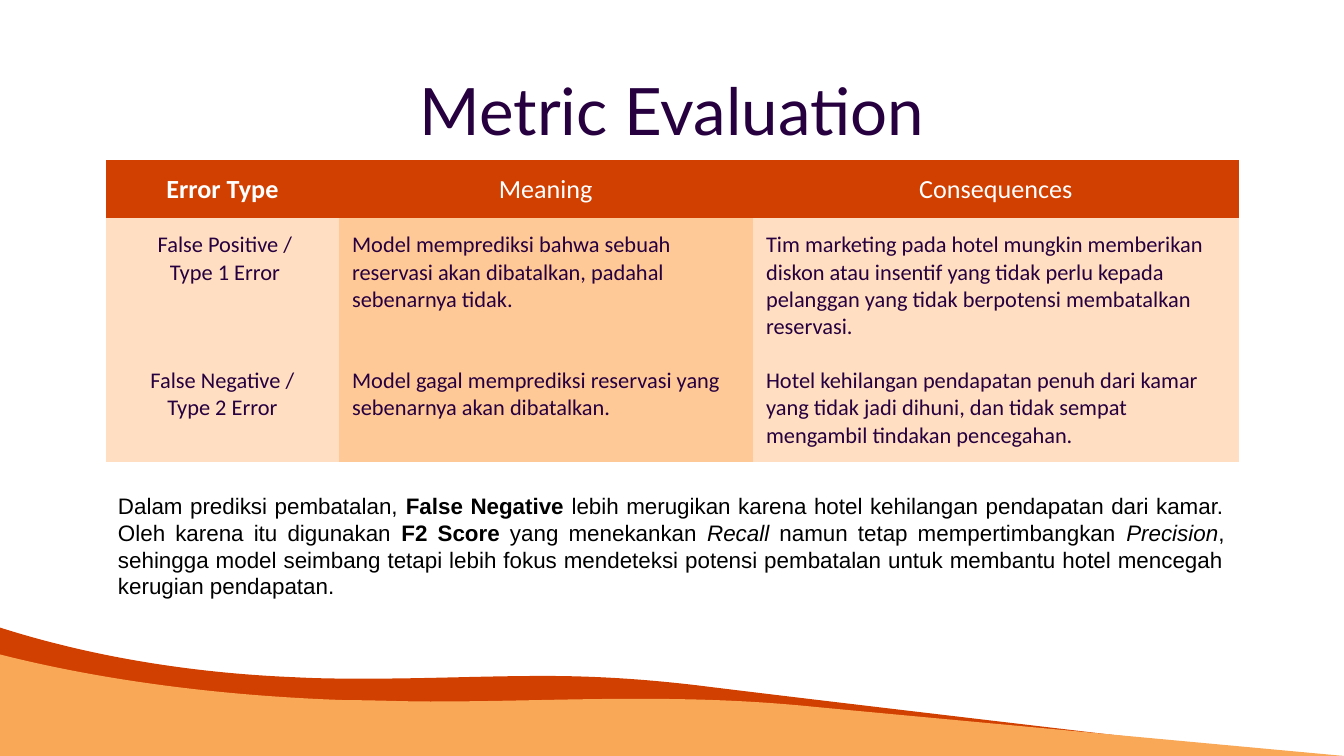
from lxml.etree import SubElement
from pptx import Presentation
from pptx.dml.color import RGBColor
from pptx.enum.text import MSO_ANCHOR, PP_ALIGN
from pptx.oxml.ns import qn
from pptx.util import Inches, Pt

ORANGE = RGBColor(0xD1, 0x40, 0x00)
LIGHT_ORANGE = RGBColor(0xF9, 0xA8, 0x58)
PEACH = RGBColor(0xFF, 0xC8, 0x97)
PALE_PEACH = RGBColor(0xFF, 0xDE, 0xC1)
PURPLE = RGBColor(0x26, 0x00, 0x3F)
WHITE = RGBColor(0xFF, 0xFF, 0xFF)
BLACK = RGBColor(0x00, 0x00, 0x00)

SLIDE_WIDTH, SLIDE_HEIGHT = 10, 5.625
INSET = 0.1
UNITS_PER_INCH = 1000
NO_GRID_STYLE = "{2D5ABB26-0587-4C30-8999-92F81FD0307C}"

# Each wave: left edge start, then Bezier segments (two controls and an end).
BACK_WAVE = [
    (0, 4.67),
    (0.47, 4.82), (1.21, 5), (2.2, 5.04),
    (2.39, 5.05), (2.56, 5.05), (2.73, 5.05),
    (3.19, 5.05), (3.61, 5.03), (4.05, 5.03),
    (4.4, 5.03), (4.77, 5.05), (5.19, 5.1),
    (5.99, 5.2), (8.55, 5.5), (8.55, 5.5),
]
FRONT_WAVE = [
    (0, 4.87),
    (0.55, 5.01), (1.41, 5.17), (2.57, 5.21),
    (2.79, 5.21), (3, 5.22), (3.2, 5.22),
    (3.73, 5.22), (4.22, 5.2), (4.73, 5.2),
    (5.14, 5.2), (5.57, 5.21), (6.06, 5.26),
    (7.01, 5.35), (10, SLIDE_HEIGHT), (10, SLIDE_HEIGHT),
]

COLUMN_WIDTHS = [1.73, 3.08, 3.62]
ROW_HEIGHTS = [0.43, 1.01, 0.8]
COLUMN_FILLS = [PALE_PEACH, PEACH, PALE_PEACH]
ROWS = [
    ["Error Type", "Meaning", "Consequences"],
    [
        " False Positive /\n Type 1 Error",
        "Model memprediksi bahwa sebuah reservasi akan dibatalkan, "
        "padahal sebenarnya tidak.",
        "Tim marketing pada hotel mungkin memberikan diskon atau insentif "
        "yang tidak perlu kepada pelanggan yang tidak berpotensi "
        "membatalkan reservasi.",
    ],
    [
        "False Negative /\nType 2 Error",
        "Model gagal memprediksi reservasi yang sebenarnya akan dibatalkan.",
        "Hotel kehilangan pendapatan penuh dari kamar yang tidak jadi dihuni, "
        "dan tidak sempat mengambil tindakan pencegahan.",
    ],
]

SUMMARY = [
    ("Dalam prediksi pembatalan, ", ""),
    ("False Negative", "bold"),
    (" lebih merugikan karena hotel kehilangan pendapatan dari kamar. "
     "Oleh karena itu digunakan ", ""),
    ("F2 Score", "bold"),
    (" yang menekankan ", ""),
    ("Recall", "italic"),
    (" namun tetap mempertimbangkan ", ""),
    ("Precision", "italic"),
    (", sehingga model seimbang tetapi lebih fokus mendeteksi potensi "
     "pembatalan untuk membantu hotel mencegah kerugian pendapatan.", ""),
]


def write_text(frame, paragraphs, font="Calibri", size=12, color=PURPLE,
               align=PP_ALIGN.LEFT):
    """Fill a text frame; each paragraph is a list of (text, style) runs."""
    frame.word_wrap = True
    for index, runs in enumerate(paragraphs):
        paragraph = frame.paragraphs[0] if index == 0 else frame.add_paragraph()
        paragraph.alignment = align
        for text, style in runs:
            run = paragraph.add_run()
            run.text = text
            run.font.name = font
            run.font.size = Pt(size)
            run.font.color.rgb = color
            run.font.bold = style == "bold"
            run.font.italic = style == "italic"


def set_margins(target):
    target.margin_left = target.margin_right = Inches(INSET)
    target.margin_top = target.margin_bottom = Inches(INSET)


def add_text(slide, box, paragraphs, **text_format):
    frame = slide.shapes.add_textbox(*map(Inches, box)).text_frame
    set_margins(frame)
    frame.vertical_anchor = MSO_ANCHOR.TOP
    write_text(frame, paragraphs, **text_format)


def bend_segments(shape, controls):
    """Turn the leading straight segments into curves with the given controls."""
    lines = list(shape._element.iter(qn("a:lnTo")))
    for line, control_pair in zip(lines, controls):
        curve = line.getparent().makeelement(qn("a:cubicBezTo"))
        for x, y in control_pair:
            SubElement(curve, qn("a:pt"), x=str(x), y=str(y))
        curve.append(line[0])
        line.getparent().replace(line, curve)


def add_wave(slide, nodes, color):
    """Draw the curve through the nodes and close it down to its lowest level."""
    nodes = [(round(x * UNITS_PER_INCH), round(y * UNITS_PER_INCH)) for x, y in nodes]
    left, top = nodes[0]
    builder = slide.shapes.build_freeform(
        left, top, scale=Inches(1) / UNITS_PER_INCH)
    builder.add_line_segments(nodes[3::3] + [(left, nodes[-1][1])], close=True)
    wave = builder.convert_to_shape()
    local = [(x - left, y - top) for x, y in nodes]
    bend_segments(wave, list(zip(local[1::3], local[2::3])))
    wave.shadow.inherit = False
    wave.fill.solid()
    wave.fill.fore_color.rgb = color
    wave.line.fill.background()


def add_error_table(slide, left, top):
    frame = slide.shapes.add_table(
        len(ROWS), len(COLUMN_WIDTHS), Inches(left), Inches(top),
        Inches(sum(COLUMN_WIDTHS)), Inches(sum(ROW_HEIGHTS)))
    table = frame.table
    table.horz_banding = False
    frame._element.find(".//" + qn("a:tableStyleId")).text = NO_GRID_STYLE
    for column, width in zip(table.columns, COLUMN_WIDTHS):
        column.width = Inches(width)
    for row, height in zip(table.rows, ROW_HEIGHTS):
        row.height = Inches(height)
    for row_index, texts in enumerate(ROWS):
        for column_index, text in enumerate(texts):
            header = row_index == 0
            first_column = column_index == 0
            cell = table.cell(row_index, column_index)
            set_margins(cell)
            cell.vertical_anchor = MSO_ANCHOR.MIDDLE if header else MSO_ANCHOR.TOP
            cell.fill.solid()
            cell.fill.fore_color.rgb = ORANGE if header else COLUMN_FILLS[column_index]
            style = "bold" if header and first_column else ""
            write_text(
                cell.text_frame,
                [[(line, style)] for line in text.split("\n")],
                size=14 if header else 12,
                color=WHITE if header else PURPLE,
                align=PP_ALIGN.CENTER if header or first_column else PP_ALIGN.LEFT)


def main():
    presentation = Presentation()
    presentation.slide_width = Inches(SLIDE_WIDTH)
    presentation.slide_height = Inches(SLIDE_HEIGHT)
    slide = presentation.slides.add_slide(presentation.slide_layouts[6])
    add_wave(slide, BACK_WAVE, ORANGE)
    add_wave(slide, FRONT_WAVE, LIGHT_ORANGE)
    add_text(slide, (0.78, 0.42, 8.44, 0.63), [[("Metric Evaluation", "")]],
             font="Lato", size=35, align=PP_ALIGN.CENTER)
    add_error_table(slide, 0.79, 1.19)
    add_text(slide, (0.78, 3.56, 8.43, 1.05), [SUMMARY],
             font="Arial", color=BLACK, align=PP_ALIGN.JUSTIFY)
    presentation.save("out.pptx")


if __name__ == "__main__":
    main()
